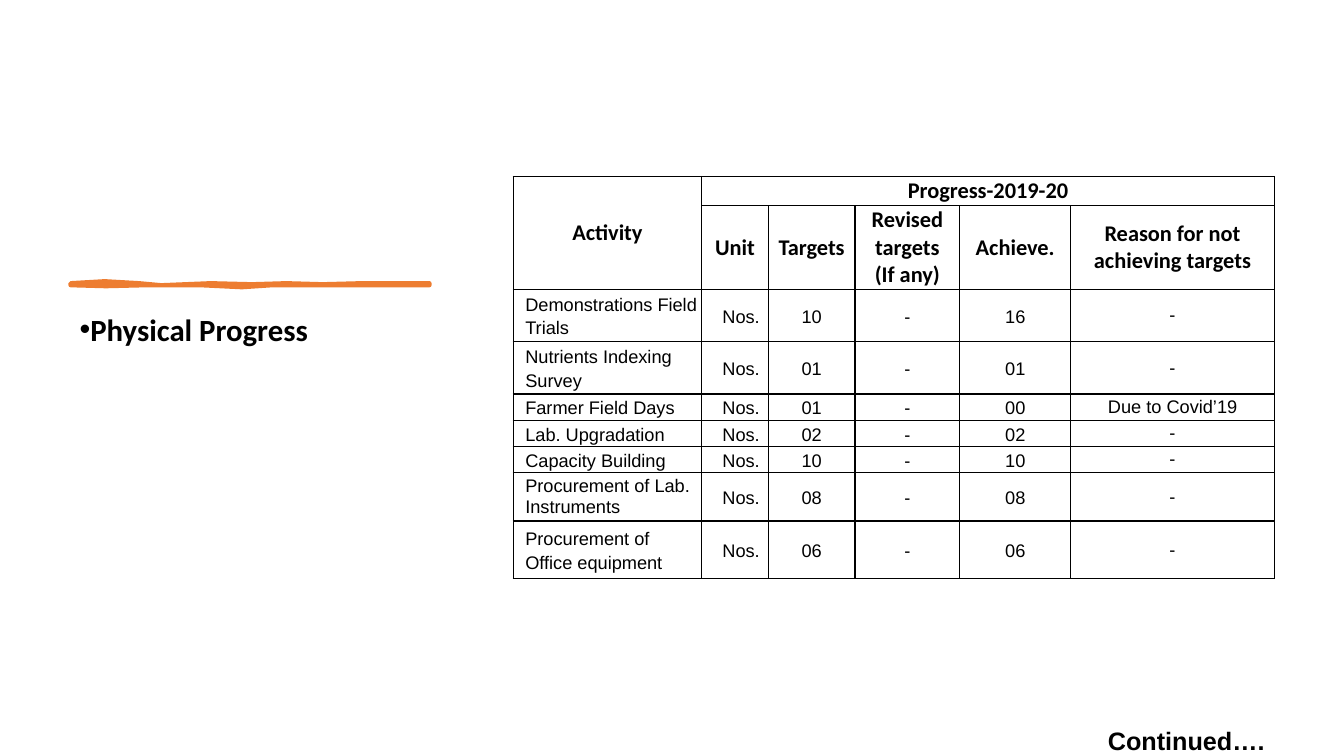
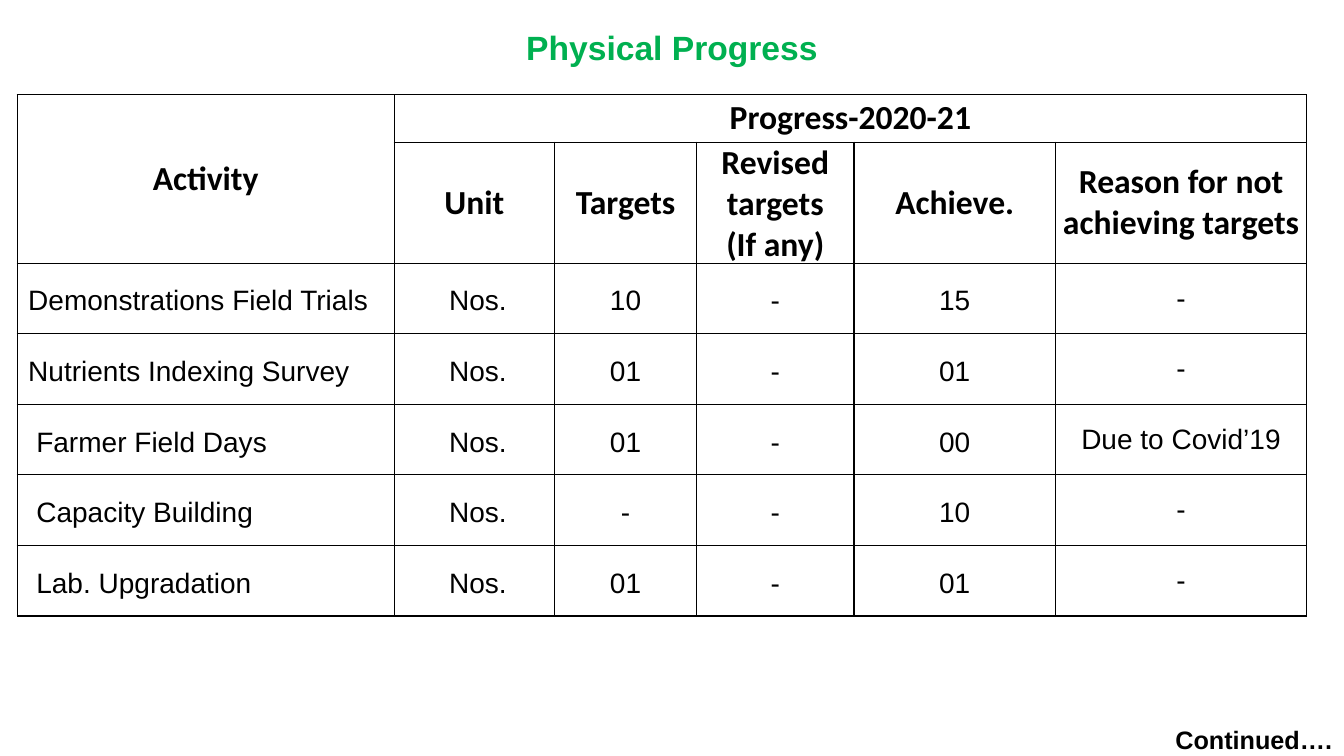
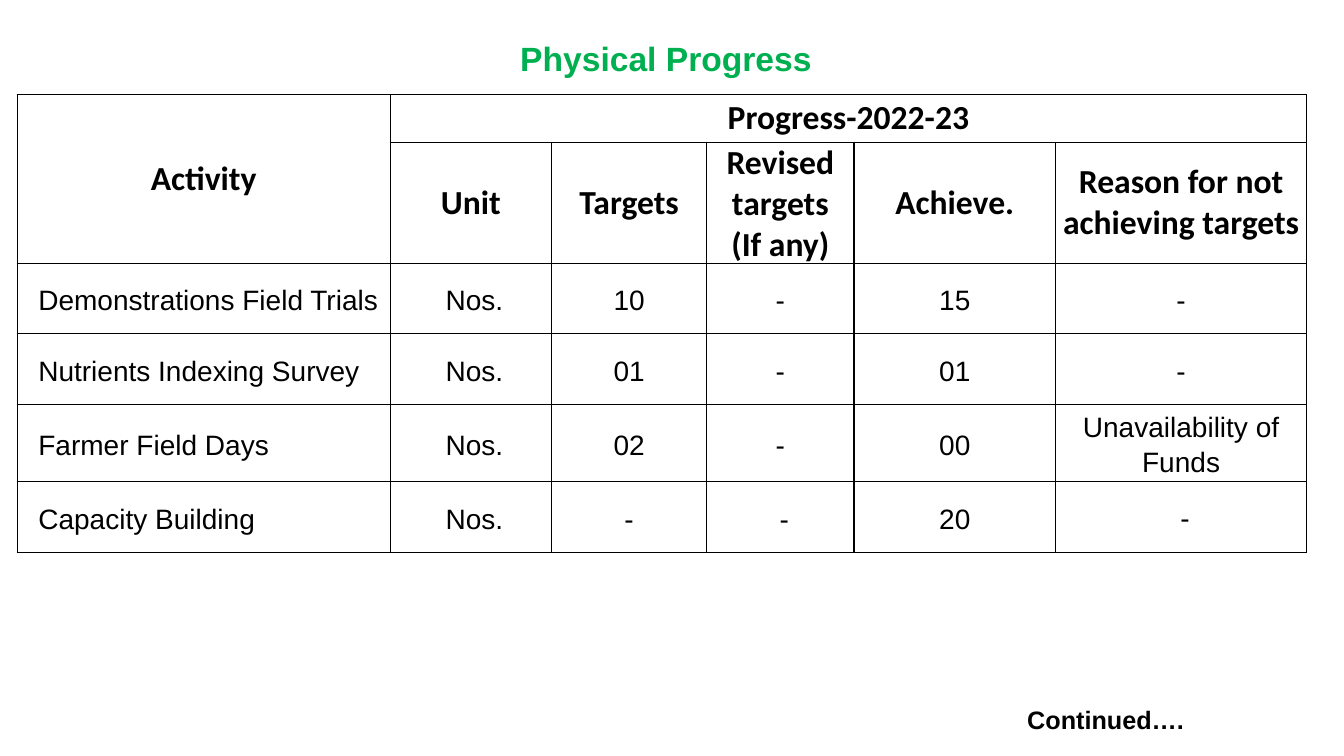
"""Build three progress-report slides, each with a heading, a table and a footer."""
from dataclasses import dataclass

from lxml import etree
from pptx import Presentation
from pptx import util as u
from pptx.dml.color import RGBColor
from pptx.enum import text
from pptx.oxml import ns

LEFT, MID = text.PP_ALIGN.LEFT, text.PP_ALIGN.CENTER


@dataclass(frozen=True)
class Theme:
    """Colours, fonts and type sizes of the deck."""
    ink: str = "000000"
    green: str = "00B050"
    orange: str = "ED7D31"
    sans: str = "Arial"
    head: str = "Calibri"
    title: int = 24
    lead: int = 22
    foot: int = 18
    rule: int = 3
    edge: int = 1


@dataclass(frozen=True)
class Look:
    """Sizes, insets and spacing of one table."""
    head: int
    body: int
    pad: tuple
    inset: tuple
    unit: float
    why: float


@dataclass(frozen=True)
class Row:
    """One activity with its figures and small layout changes."""
    name: str
    goal: str
    done: str
    why: str = "-"
    ind: float = 0.12
    gap: float = 1.15
    pad: tuple = None
    dash: float = 0


T = Theme()
HEADS = ["Unit", "Targets", "Revised targets\n(If any)", "Achieve.",
         "Reason for not achieving targets"]
SMALL = Look(16, 13, (0.04, 0, 0.04, 0), (0, 0, 0, 0), 0.12, 1)
LARGE = Look(24, 20, (0.06, 0, 0.06, 0), (0.01, 0.01, 0.01, 0), 0.07, 1)
LOOSE = Look(24, 20, LARGE.pad, LARGE.inset, 0.07, 1.15)


def put(frame, words, size, font, color=T.ink, bold=True, align=LEFT, gap=1, ind=0):
    """Write text into a frame and format all its runs."""
    frame.text = words
    for par in frame.paragraphs:
        par.alignment, par.line_spacing = align, gap
        par._p.get_or_add_pPr().set("marL", str(u.Inches(ind)))
        par._p.get_or_add_pPr().set("indent", "0")
        for run in par.runs:
            run.font.size, run.font.name, run.font.bold = u.Pt(size), font, bold
            run.font.color.rgb = RGBColor.from_string(color)


def place(shape, box):
    """Move a shape to a box given in inches."""
    shape.left, shape.top, shape.width, shape.height = map(u.Inches, box)


def title(slide, box, size=T.title, font=T.sans, color=T.green, align=LEFT, gap=1):
    """Move and format the title placeholder."""
    shape = slide.shapes.title
    place(shape, box)
    frame = shape.text_frame
    put(frame, "Physical Progress", size, font, color, align=align, gap=gap)
    frame.word_wrap = True
    frame.auto_size = text.MSO_AUTO_SIZE.NONE
    frame.vertical_anchor = text.MSO_ANCHOR.TOP
    return frame.paragraphs[0]


def bullet(par):
    """Give a paragraph a round bullet."""
    props = par._p.get_or_add_pPr()
    etree.SubElement(props, ns.qn("a:buFont")).set("typeface", T.sans)
    etree.SubElement(props, ns.qn("a:buChar")).set("char", "•")


def footer(slide, left, top):
    """Add the continuation note."""
    frame = slide.shapes.add_textbox(*map(u.Inches, (left, top, 1.77, 0.4))).text_frame
    put(frame, "Continued….", T.foot, T.sans)
    frame.word_wrap = False


def brush(slide):
    """Draw the wavy orange rule."""
    upper = [(70, 281), (104, 279), (138, 281), (160, 283), (209, 281), (250, 282),
             (284, 281), (320, 282), (359, 281), (392, 281), (426, 281)]
    lower = [(426, 283), (348, 283), (310, 283), (270, 283), (240, 285),
             (199, 283), (145, 283), (105, 284), (70, 283)]
    pen = slide.shapes.build_freeform(*upper[0], scale=u.Inches(0.01))
    pen.add_line_segments(upper[1:] + lower, close=True)
    wave = pen.convert_to_shape()
    wave.shadow.inherit = False
    wave.fill.solid()
    wave.fill.fore_color.rgb = wave.line.color.rgb = RGBColor.from_string(T.orange)
    wave.line.width = u.Pt(T.rule)
    etree.SubElement(wave.line._get_or_add_ln(), ns.qn("a:round"))


def border(cell):
    """Draw the four edges of a cell."""
    props = cell._tc.get_or_add_tcPr()
    for spot, side in enumerate(("lnL", "lnR", "lnT", "lnB")):
        line = etree.Element(ns.qn("a:" + side), w=str(u.Pt(T.edge)))
        fill = etree.SubElement(line, ns.qn("a:solidFill"))
        etree.SubElement(fill, ns.qn("a:srgbClr")).set("val", T.ink)
        props.insert(spot, line)


def blank(cell, size, pad):
    """Prepare an empty cell: insets, anchor, edges, no fill."""
    cell.margin_left, cell.margin_top, cell.margin_right, cell.margin_bottom = map(u.Inches, pad)
    cell.vertical_anchor = text.MSO_ANCHOR.MIDDLE
    cell.fill.background()
    border(cell)
    end = cell.text_frame.paragraphs[0]._p.get_or_add_endParaRPr()
    end.set("sz", str(size * 100))


def header(grid, look, year):
    """Fill the two header rows."""
    for row in (0, 1):
        for col in range(6):
            blank(grid.cell(row, col), look.head, look.pad)
    grid.cell(0, 0).merge(grid.cell(1, 0))
    grid.cell(0, 1).merge(grid.cell(0, 5))
    spots = [(0, 0, "Activity"), (0, 1, "Progress-" + year)]
    spots += [(1, col, words) for col, words in enumerate(HEADS, 1)]
    for row, col, words in spots:
        put(grid.cell(row, col).text_frame, words, look.head, T.head, align=MID)


def record(grid, num, row, look):
    """Fill one body row."""
    words = [row.name, "Nos.", row.goal, "-", row.done, row.why]
    inds = [row.ind, look.unit, 0, row.dash, 0, row.dash]
    gaps = [row.gap] + [1.15] * 4 + [look.why]
    pads = [row.pad or look.inset] * 5 + [look.pad]
    for col, (word, ind, gap, pad) in enumerate(zip(words, inds, gaps, pads)):
        cell = grid.cell(num, col)
        blank(cell, look.body, pad)
        put(cell.text_frame, word, look.body, T.sans, bold=False,
            align=MID if col else LEFT, gap=gap, ind=ind)


def table(slide, left, top, cols, highs, look, year, rows):
    """Add a progress table for one year."""
    box = map(u.Inches, (left, top, sum(cols), sum(highs)))
    grid = slide.shapes.add_table(len(highs), len(cols), *box).table
    grid.first_row = grid.horz_banding = False
    for col, wide in zip(grid.columns, cols):
        col.width = u.Inches(wide)
    for line, high in zip(grid.rows, highs):
        line.height = u.Inches(high)
    header(grid, look, year)
    for num, row in enumerate(rows, 2):
        record(grid, num, row, look)


def first(slide):
    """Build the 2019-20 slide."""
    brush(slide)
    bullet(title(slide, (0.69, 3.07, 3.75, 3.73), T.lead, T.head, T.ink, gap=0.9))
    footer(slide, 10.89, 7.15)
    rows = [Row("Demonstrations Field Trials", "10", "16"),
            Row("Nutrients Indexing Survey", "01", "01"),
            Row("Farmer Field Days", "01", "00", "Due to Covid’19"),
            Row("Lab. Upgradation", "02", "02"),
            Row("Capacity Building", "10", "10"),
            Row("Procurement of Lab. Instruments", "08", "08", gap=1),
            Row("Procurement of Office equipment", "06", "06", ind=0.07,
                pad=(0.05, 0.02, 0.05, 0.02))]
    highs = [0.29, 0.83] + [0.52] * 2 + [0.26] * 3 + [0.48, 0.57]
    table(slide, 5.09, 1.75, [1.87, 0.66, 0.86, 1.04, 1.1, 2.02], highs, SMALL,
          "2019-20", rows)


def wide(slide, cols, look, year, rows):
    """Add a full-width table with equal body rows."""
    table(slide, 0.17, 0.94, cols, [0.47, 1.07] + [0.7] * len(rows), look, year, rows)


def second(slide):
    """Build the 2020-21 slide."""
    title(slide, (5.06, 0.22, 3.21, 0.5), align=MID)
    footer(slide, 11.56, 7.14)
    rows = [Row("Demonstrations Field Trials", "10", "15", ind=0.1),
            Row("Nutrients Indexing Survey", "01", "01", ind=0.1),
            Row("Farmer Field Days", "01", "00", "Due to Covid’19", ind=0.18),
            Row("Capacity Building", "-", "10", ind=0.18),
            Row("Lab. Upgradation", "01", "01", ind=0.18)]
    wide(slide, [3.74, 1.59, 1.41, 1.56, 2, 2.49], LARGE, "2020-21", rows)


def third(slide):
    """Build the 2022-23 slide."""
    title(slide, (5.06, 0.33, 3.21, 0.5))
    footer(slide, 10.09, 6.94)
    rows = [Row("Demonstrations Field Trials", "10", "15", ind=0.2),
            Row("Nutrients Indexing Survey", "01", "01", ind=0.2),
            Row("Farmer Field Days", "02", "00", "Unavailability of Funds", ind=0.2),
            Row("Capacity Building", "-", "20", ind=0.2, dash=0.08)]
    wide(slide, [3.7, 1.6, 1.54, 1.46, 2, 2.49], LOOSE, "2022-23", rows)


def main():
    """Build and save the deck."""
    deck = Presentation()
    deck.slide_width, deck.slide_height = u.Inches(13.33), u.Inches(7.5)
    for build in (first, second, third):
        build(deck.slides.add_slide(deck.slide_layouts[5]))
    deck.save("out.pptx")


if __name__ == "__main__":
    main()
